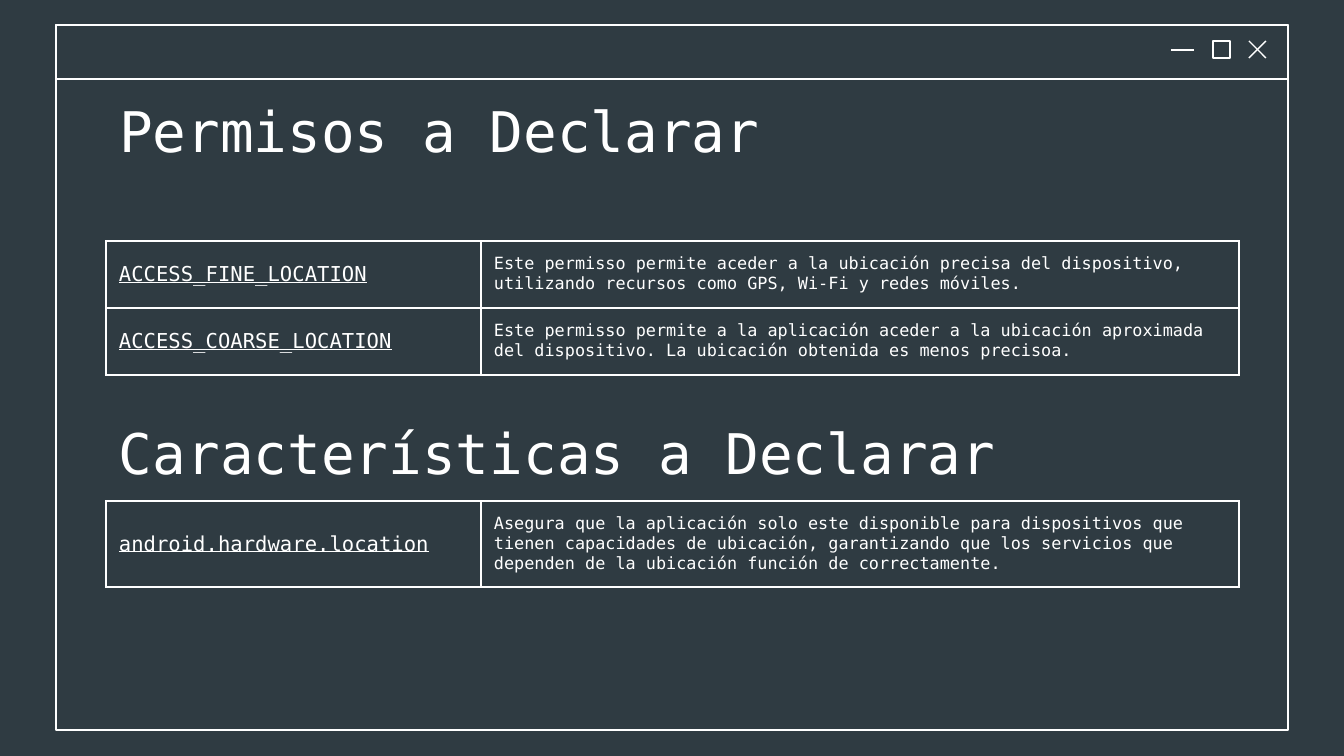
import pptx
import pptx.dml.color
import pptx.enum.shapes
import pptx.enum.text
import pptx.oxml
import pptx.oxml.ns
import pptx.util
from lxml import etree

SCALE = 914400 / 134.4
LEFT, WIDTH = 106, 1133
COLS = (375, WIDTH - 375)
INSET = 13


class Theme:
    back = pptx.dml.color.RGBColor(0x2F, 0x3B, 0x42)
    ink = pptx.dml.color.RGBColor(0xFF, 0xFF, 0xFF)
    font = "DejaVu Sans Mono"
    head = 30
    name = 11
    body = 9
    line = pptx.util.Pt(0.75)


PERMITS = [
    ("ACCESS_FINE_LOCATION",
     "Este permisso permite aceder a la ubicación precisa del dispositivo, "
     "utilizando recursos como GPS, Wi-Fi y redes móviles."),
    ("ACCESS_COARSE_LOCATION",
     "Este permisso permite a la aplicación aceder a la ubicación aproximada "
     "del dispositivo. La ubicación obtenida es menos precisoa."),
]
TRAITS = [
    ("android.hardware.location",
     "Asegura que la aplicación solo este disponible para dispositivos que "
     "tienen capacidades de ubicación, garantizando que los servicios que "
     "dependen de la ubicación función de correctamente."),
]


def px(*nums):
    return [pptx.util.Emu(round(num * SCALE)) for num in nums]


def pad(item, top=INSET):
    """Set the insets of a text frame or a table cell."""
    item.margin_left, item.margin_right, item.margin_bottom = px(*[INSET] * 3)
    item.margin_top = px(top)[0]


def style(para, size, under=False):
    para.alignment = pptx.enum.text.PP_ALIGN.LEFT
    font = para.font
    font.name = Theme.font
    font.size = pptx.util.Pt(size)
    font.color.rgb = Theme.ink
    font.underline = under


def stroke(line):
    line.color.rgb = Theme.ink
    line.width = Theme.line


def add_box(slide, left, top, width, height):
    box = slide.shapes.add_shape(
        pptx.enum.shapes.MSO_SHAPE.RECTANGLE, *px(left, top, width, height))
    box.fill.background()
    box.shadow.inherit = False
    stroke(box.line)


def add_line(slide, *ends):
    line = slide.shapes.add_connector(
        pptx.enum.shapes.MSO_CONNECTOR.STRAIGHT, *px(*ends))
    stroke(line.line)
    etree.SubElement(line.element.spPr, pptx.oxml.ns.qn("a:effectLst"))


def add_window(slide):
    add_box(slide, 56, 25, 1232, 705)
    add_box(slide, 56, 25, 1232, 54)
    add_line(slide, 1249, 41, 1266, 58)
    add_line(slide, 1266, 41, 1249, 58)
    add_line(slide, 1171, 50, 1194, 50)
    add_box(slide, 1213, 41, 17, 17)


def set_head(shape, top, text):
    shape.left, shape.top, shape.width, shape.height = px(LEFT, top, WIDTH, 85)
    frame = shape.text_frame
    frame.text = text
    frame.word_wrap = True
    frame.auto_size = pptx.enum.text.MSO_AUTO_SIZE.NONE
    frame.vertical_anchor = pptx.enum.text.MSO_ANCHOR.TOP
    pad(frame, 18)
    style(frame.paragraphs[0], Theme.head)


def add_edges(cell):
    """Draw the four borders of a cell, ahead of its fill."""
    props = cell._tc.get_or_add_tcPr()
    for spot, side in enumerate(("lnL", "lnR", "lnT", "lnB")):
        props.insert(spot, pptx.oxml.parse_xml(
            f'<a:{side} {pptx.oxml.ns.nsdecls("a")} w="{Theme.line}">'
            f'<a:solidFill><a:srgbClr val="{Theme.ink}"/></a:solidFill>'
            f'</a:{side}>'))


def set_cell(cell, text, size, under):
    cell.text = text
    cell.fill.background()
    pad(cell)
    style(cell.text_frame.paragraphs[0], size, under)
    add_edges(cell)


def add_grid(slide, top, pairs, height):
    table = slide.shapes.add_table(
        len(pairs), 2, *px(LEFT, top, WIDTH, height * len(pairs))).table
    table.first_row = table.horz_banding = False
    for col, width in zip(table.columns, px(*COLS)):
        col.width = width
    for row, (name, text) in zip(table.rows, pairs):
        row.height = px(height)[0]
        label, note = row.cells
        set_cell(label, name, Theme.name, True)
        label.vertical_anchor = pptx.enum.text.MSO_ANCHOR.MIDDLE
        set_cell(note, text, Theme.body, False)
        note.text_frame.paragraphs[0].space_after = pptx.util.Pt(16)


def main():
    deck = pptx.Presentation()
    deck.slide_width, deck.slide_height = px(1344, 756)
    slide = deck.slides.add_slide(deck.slide_layouts[5])
    fill = slide.background.fill
    fill.solid()
    fill.fore_color.rgb = Theme.back
    add_window(slide)
    set_head(slide.shapes.title, 79, "Permisos a Declarar")
    add_grid(slide, 241, PERMITS, 67)
    add_grid(slide, 501, TRAITS, 86)
    set_head(slide.shapes.add_textbox(0, 0, 0, 0), 401,
             "Características a Declarar")
    deck.save("out.pptx")


if __name__ == "__main__":
    main()
